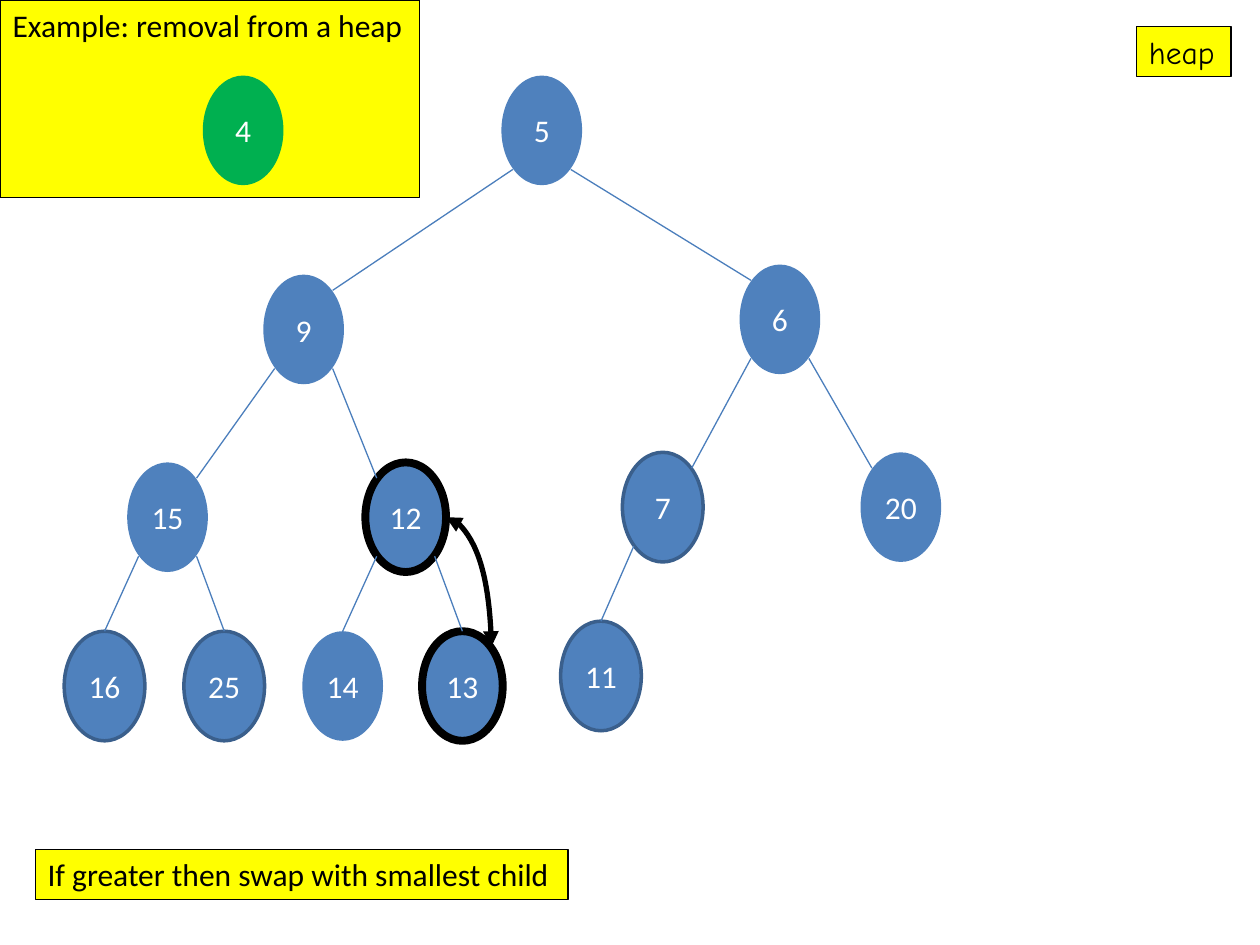
from lxml import etree
from pptx import Presentation
from pptx.dml.color import RGBColor
from pptx.enum.shapes import MSO_CONNECTOR, MSO_SHAPE
from pptx.enum.text import MSO_ANCHOR, MSO_AUTO_SIZE, PP_ALIGN
from pptx.oxml.ns import qn
from pptx.util import Inches, Pt

ELLIPSE = MSO_SHAPE.OVAL
STRAIGHT, CURVE = MSO_CONNECTOR.STRAIGHT, MSO_CONNECTOR.CURVE
LEFT, CENTER = PP_ALIGN.LEFT, PP_ALIGN.CENTER
TOP, MIDDLE = MSO_ANCHOR.TOP, MSO_ANCHOR.MIDDLE
GROW = MSO_AUTO_SIZE.SHAPE_TO_FIT_TEXT

COLORS = {
    "node": "4F81BD", "outline": "3A5F8C", "edge": "4B7EBC",
    "removed": "00B050", "label": "FFFF00", "black": "000000", "white": "FFFFFF",
}
NODE_W, NODE_H = 0.64, 0.87
DIAG_X, DIAG_Y = 0.23, 0.31
OUTLINES = {"none": None, "thin": ("outline", 2), "bold": ("black", 4.5)}

NODES = {
    "5": (3.98, 0.6, "none"),
    "9": (2.09, 2.18, "none"),
    "6": (5.87, 2.1, "none"),
    "15": (1.01, 3.67, "none"),
    "12": (2.9, 3.67, "bold"),
    "7": (4.94, 3.59, "thin"),
    "20": (6.83, 3.59, "none"),
    "16": (0.51, 5.01, "thin"),
    "25": (1.46, 5.01, "thin"),
    "14": (2.4, 5.01, "none"),
    "13": (3.35, 5.01, "bold"),
    "11": (4.45, 4.93, "thin"),
}
CHILDREN = {
    "5": ("9", "6"), "9": ("15", "12"), "6": ("7", "20"),
    "15": ("16", "25"), "12": ("14", "13"), "7": ("11",),
}


def rgb(name):
    return RGBColor.from_string(COLORS[name])


def write(tf, text, font="Calibri", size=18, color="black", align=LEFT, anchor=TOP, wrap=False):
    tf.word_wrap = wrap
    tf.vertical_anchor = anchor
    p = tf.paragraphs[0]
    p.alignment = align
    r = p.add_run()
    r.text = text
    r.font.name = font
    r.font.size = Pt(size)
    r.font.color.rgb = rgb(color)


class HeapSlide:
    def __init__(self, prs):
        self.s = prs.slides.add_slide(prs.slide_layouts[5])

    def paint(self, sp, fill, line):
        sp.fill.solid()
        sp.fill.fore_color.rgb = rgb(fill)
        if line:
            sp.line.color.rgb = rgb(line[0])
            sp.line.width = Pt(line[1])
        else:
            sp.line.fill.background()

    def label(self, sp, text, font="Calibri"):
        self.paint(sp, "label", ("black", 0.75))
        write(sp.text_frame, text, font=font)
        sp.text_frame.auto_size = GROW

    def title(self, text, x, y, w, h):
        sp = self.s.shapes.title
        sp.left, sp.top, sp.width, sp.height = map(Inches, (x, y, w, h))
        self.label(sp, text)

    def note(self, text, x, y, w, h, font="Calibri"):
        self.label(self.s.shapes.add_textbox(*map(Inches, (x, y, w, h))), text, font)

    def node(self, text, x, y, outline="none", fill="node"):
        sp = self.s.shapes.add_shape(ELLIPSE, *map(Inches, (x, y, NODE_W, NODE_H)))
        sp.shadow.inherit = False
        self.paint(sp, fill, OUTLINES[outline])
        write(sp.text_frame, text, color="white", align=CENTER, anchor=MIDDLE, wrap=True)

    def connector(self, kind, start, end, color, width):
        c = self.s.shapes.add_connector(kind, *map(Inches, (*start, *end)))
        c.line.color.rgb = rgb(color)
        c.line.width = Pt(width)
        etree.SubElement(c._element.spPr, qn("a:effectLst"))
        return c

    def edge(self, parent, child):
        (px, py), (cx, cy) = center(parent), center(child)
        side = 1 if cx > px else -1
        start = (px + side * DIAG_X, py + DIAG_Y)
        if child in CHILDREN or child == "20":
            end = (cx - side * DIAG_X, cy - DIAG_Y)
        else:
            end = (cx, cy - NODE_H / 2)
        self.connector(STRAIGHT, start, end, "edge", 0.75)

    def swap_arrow(self, upper, lower):
        (ux, uy), (lx, ly) = center(upper), center(lower)
        c = self.connector(CURVE, (ux + NODE_W / 2, uy),
                           (lx + DIAG_X, ly - DIAG_Y), "black", 3)
        c._element.spPr.find(qn("a:prstGeom")).set("prst", "curvedConnector2")
        ln = c.line._get_or_add_ln()
        for tag in ("a:headEnd", "a:tailEnd"):
            etree.SubElement(ln, qn(tag), type="triangle")


def center(name):
    x, y, _ = NODES[name]
    return x + NODE_W / 2, y + NODE_H / 2


def main():
    prs = Presentation()
    prs.slide_width, prs.slide_height = Inches(10), Inches(7.5)
    slide = HeapSlide(prs)
    slide.title("Example: removal from a heap", 0, 0, 3.33, 0.4)
    slide.note("heap", 9.02, 0.21, 0.75, 0.4, font="Comic Neue")
    for name, (x, y, outline) in NODES.items():
        slide.node(name, x, y, outline)
    for parent, children in CHILDREN.items():
        for child in children:
            slide.edge(parent, child)
    slide.node("4", 1.61, 0.6, fill="removed")
    slide.note("If greater then swap with smallest child", 0.28, 6.74, 4.23, 0.4)
    slide.swap_arrow("12", "13")
    prs.save("out.pptx")


if __name__ == "__main__":
    main()
